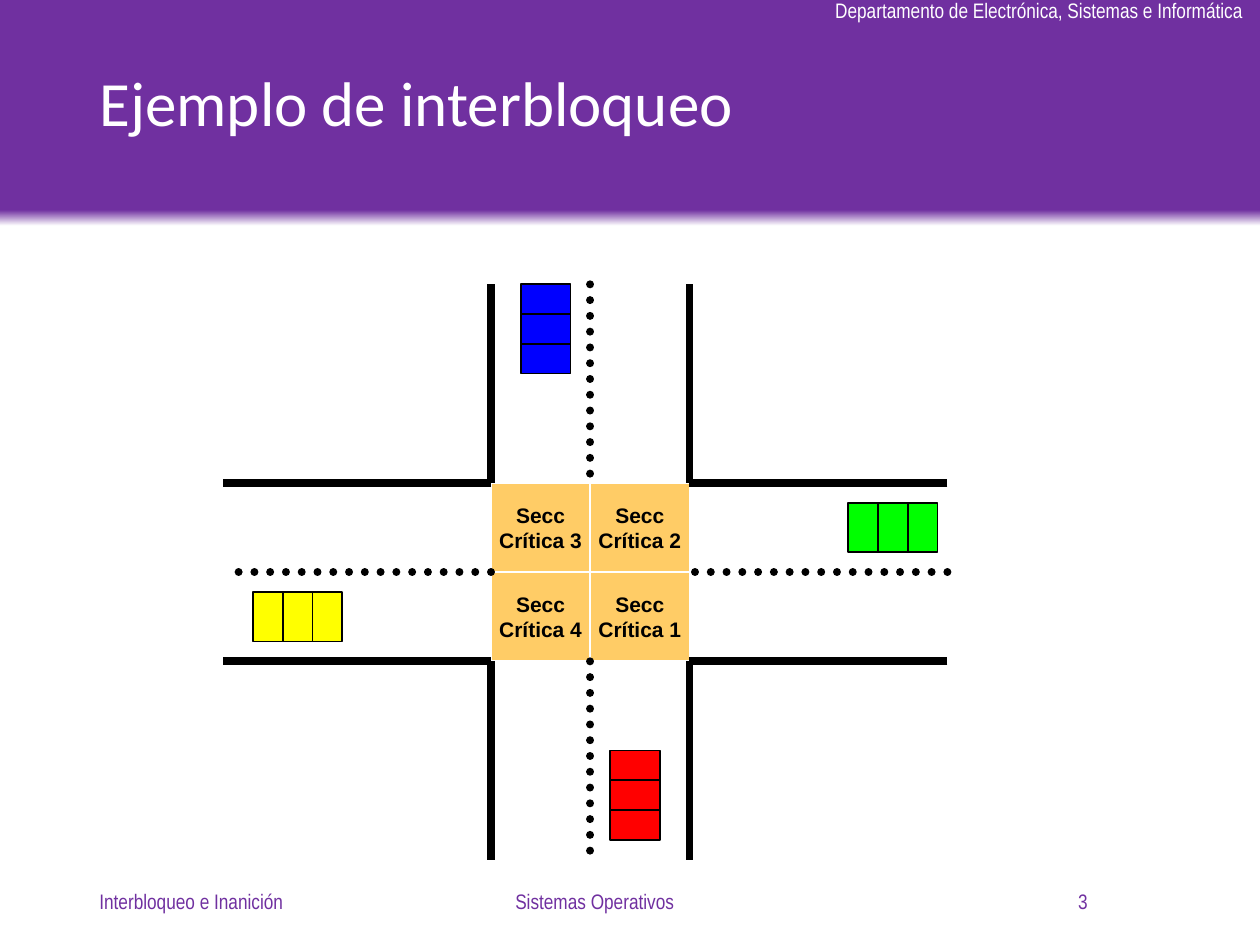
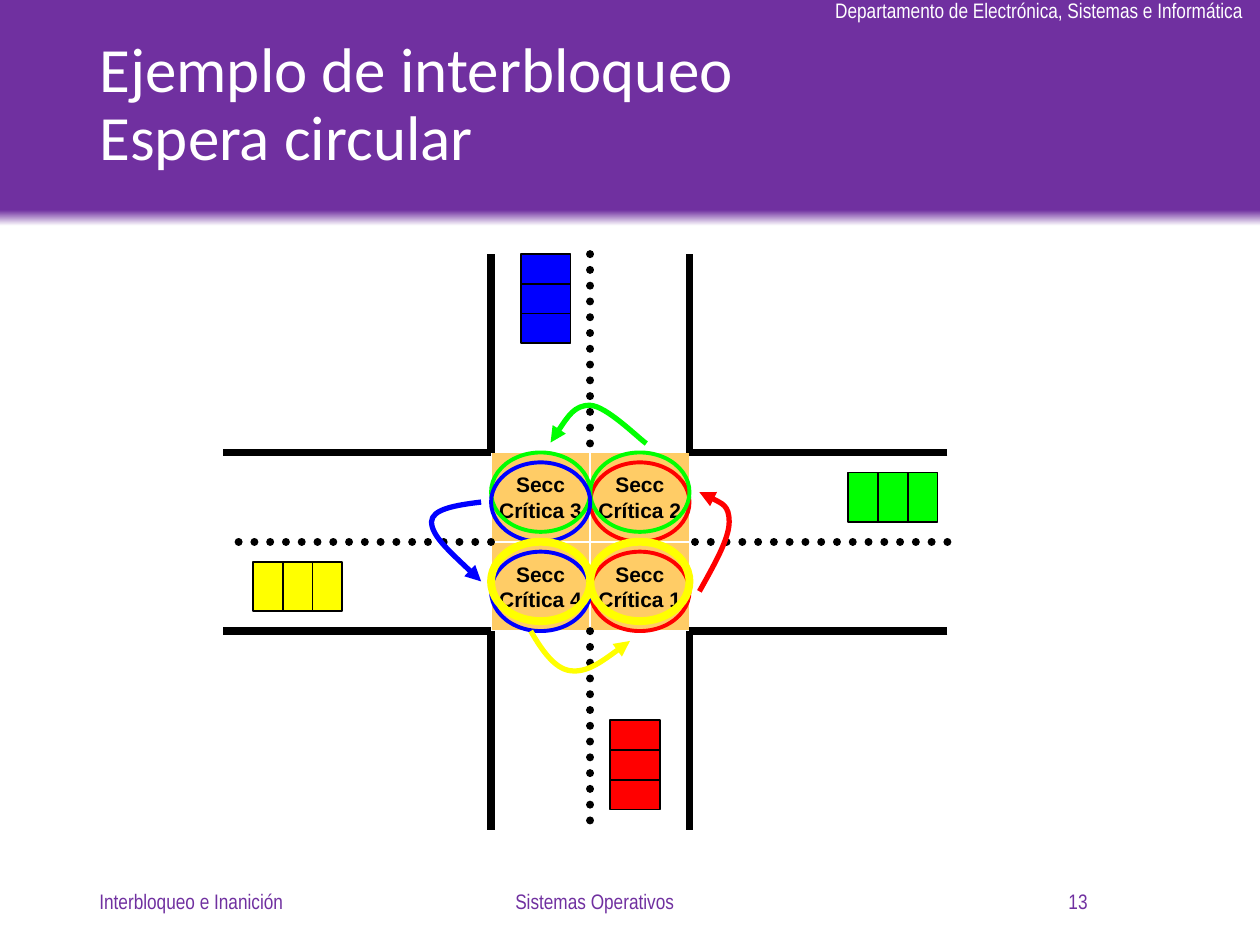
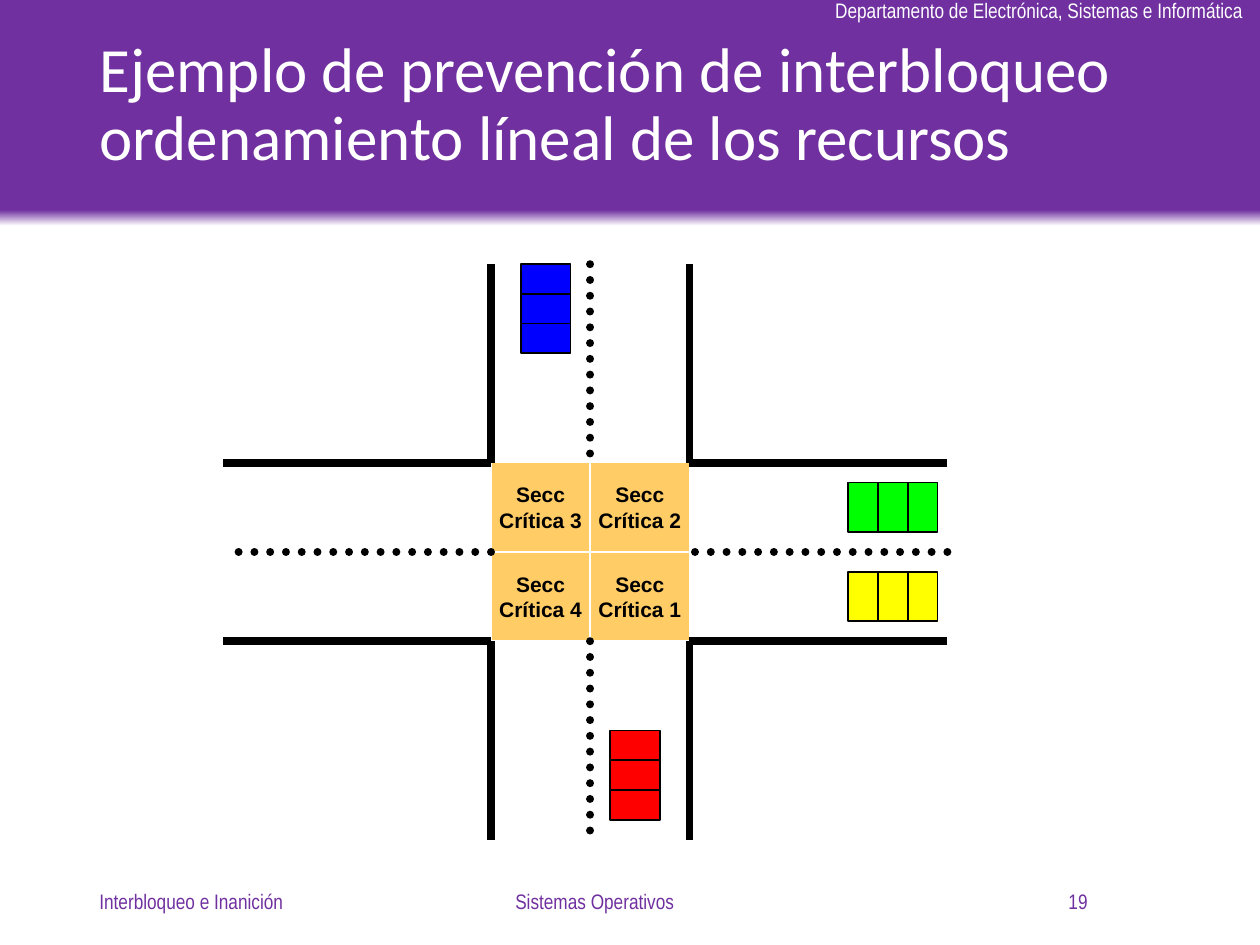
from lxml import etree
from pptx import Presentation
from pptx.dml.color import RGBColor
from pptx.enum.dml import MSO_LINE
from pptx.enum.shapes import MSO_CONNECTOR, MSO_SHAPE
from pptx.enum.text import MSO_ANCHOR, MSO_AUTO_SIZE, PP_ALIGN
from pptx.oxml.ns import qn
from pptx.util import Cm, Inches, Pt

RECTANGLE, OVAL = MSO_SHAPE.RECTANGLE, MSO_SHAPE.OVAL
STRAIGHT = MSO_CONNECTOR.STRAIGHT
ROUND_DOT = MSO_LINE.ROUND_DOT
MIDDLE, TOP = MSO_ANCHOR.MIDDLE, MSO_ANCHOR.TOP
LEFT, CENTER, RIGHT = PP_ALIGN.LEFT, PP_ALIGN.CENTER, PP_ALIGN.RIGHT
GROW = MSO_AUTO_SIZE.SHAPE_TO_FIT_TEXT

PURPLE = RGBColor(0x70, 0x30, 0xA0)
WHITE = RGBColor(0xFF, 0xFF, 0xFF)
BLACK = RGBColor(0x00, 0x00, 0x00)
ORANGE = RGBColor(0xFF, 0xCC, 0x66)
RED = RGBColor(0xFF, 0x00, 0x00)
GREEN = RGBColor(0x00, 0xFF, 0x00)
BLUE = RGBColor(0x00, 0x00, 0xFF)
YELLOW = RGBColor(0xFF, 0xFF, 0x00)

# Crossing grid: 2 mm steps, counted from the centre of the crossing
STEP = Cm(0.2)
CENTER_X = Inches(4.685)
CELL_WIDTH, CELL_HEIGHT = 10, 9
ROAD_END, WEST_END, EAST_END = 29, -37, 36
CAR_WIDTH, CAR_LENGTH = 5, 9


class Deck:
    """Style of the deck, and the slide being drawn."""

    def __init__(self):
        self.presentation = Presentation()
        self.presentation.slide_width = Inches(10)
        self.presentation.slide_height = Inches(7.5)
        self.slide = None
        self.center_y = 0

    # Lengths
    def share(self, left, top, width, height):
        across, down = self.presentation.slide_width, self.presentation.slide_height
        return [round(value) for value in
                (left * across, top * down, width * across, height * down)]

    def point(self, column, row):
        return round(CENTER_X + column * STEP), round(self.center_y + row * STEP)

    def box(self, column, row, columns, rows):
        return (*self.point(column, row), round(columns * STEP), round(rows * STEP))

    # Text
    def style(self, paragraph, font, size, color, align=LEFT, bold=False):
        paragraph.alignment = align
        paragraph.font.name = font
        paragraph.font.size = Pt(size)
        paragraph.font.color.rgb = color
        paragraph.font.bold = bold

    def label(self, text, area, color, align=LEFT, anchor=MIDDLE):
        shape = self.slide.shapes.add_textbox(*self.share(*area))
        frame = shape.text_frame
        frame.word_wrap = True
        frame.vertical_anchor = anchor
        frame.text = text
        self.style(frame.paragraphs[0], "Arial Narrow", 12, color, align)
        return shape

    # Slide frame
    def new_slide(self, title, number, center_y):
        first = self.slide is None
        self.slide = self.presentation.slides.add_slide(self.presentation.slide_layouts[5])
        self.center_y = Inches(center_y)
        if first:
            self.master_header()
        holder = self.slide.shapes.title
        holder.left, holder.top, holder.width, holder.height = self.share(
            0.069, 0.02, 0.862, 0.185)
        frame = holder.text_frame
        frame.text = ""
        frame.word_wrap = True
        frame.auto_size = MSO_AUTO_SIZE.NONE
        frame.vertical_anchor = MIDDLE
        paragraph = frame.paragraphs[0]
        paragraph.text = title
        paragraph.line_spacing = 0.9
        self.style(paragraph, "Calibri", 36, WHITE)
        for text, left, width, align in (
                ("Interbloqueo e Inanición", 0.069, 0.225, LEFT),
                ("Sistemas Operativos", 0.303, 0.338, CENTER),
                (str(number), 0.648, 0.225, RIGHT)):
            self.label(text, (left, 0.927, width, 0.053), PURPLE, align)

    def master_header(self):
        """Draw the band and department name, then move them to the master."""
        band = self.slide.shapes.add_shape(RECTANGLE, *self.share(0, 0, 1, 0.239))
        band.shadow.inherit = False
        band.line.fill.background()
        band.fill.gradient()
        band.fill.gradient_angle = 90
        stops = band.fill.gradient_stops
        for stop, color, position in zip(stops, (WHITE, PURPLE), (0, 0.07)):
            stop.color.rgb = color
            stop.position = position
        department = self.label("Departamento de Electrónica, Sistemas e Informática",
                                (0.653, -0.009, 0.348, 0.04), WHITE, anchor=TOP)
        department.text_frame.word_wrap = False
        department.text_frame.auto_size = GROW
        tree = self.presentation.slide_master.shapes.element
        tree.insert(2, band.element)
        tree.insert(3, department.element)

    # Shapes on the crossing grid
    def shape(self, shapes, kind, area, fill, line, width):
        shape = shapes.add_shape(kind, *self.box(*area))
        shape.shadow.inherit = False
        if fill is None:
            shape.fill.background()
        else:
            shape.fill.solid()
            shape.fill.fore_color.rgb = fill
        shape.line.color.rgb = line
        shape.line.width = Pt(width)
        return shape

    def section(self, shapes, number, column, row):
        shape = self.shape(shapes, RECTANGLE, (column, row, CELL_WIDTH, CELL_HEIGHT),
                           ORANGE, WHITE, 1)
        frame = shape.text_frame
        frame.word_wrap = False
        frame.vertical_anchor = MIDDLE
        frame.text = f"Secc\nCrítica {number}"
        for paragraph in frame.paragraphs:
            self.style(paragraph, "Arial", 12, BLACK, CENTER, True)

    def road_line(self, start, end, dotted=False):
        line = self.slide.shapes.add_connector(
            STRAIGHT, *self.point(*start), *self.point(*end))
        line.line.color.rgb = BLACK
        line.line.width = Pt(4.5)
        properties = line.element.spPr
        if dotted:
            line.line.dash_style = ROUND_DOT
            properties.find(qn("a:ln")).set("cap", "rnd")
        etree.SubElement(properties, qn("a:effectLst"))

    def car(self, color, column, row, sideways=False):
        third = CAR_LENGTH / 3
        group = self.slide.shapes.add_group_shape()
        for top, length in ((row, CAR_LENGTH), (row + third, third)):
            part = self.shape(group.shapes, RECTANGLE, (column, top, CAR_WIDTH, length),
                              color, BLACK, 1)
            part.rotation = 270 if sideways else 0

    def ring(self, color, column, row, width):
        self.shape(self.slide.shapes, OVAL, (column, row, CELL_WIDTH, 8), None, color, width)

    def curved_arrow(self, color, points):
        """Start point, then three points for each Bezier segment."""
        places = [self.point(*point) for point in points]
        builder = self.slide.shapes.build_freeform(*places[0])
        builder.add_line_segments(places[1:], close=False)
        arrow = builder.convert_to_shape()
        arrow.shadow.inherit = False
        arrow.fill.background()
        arrow.line.color.rgb = color
        arrow.line.width = Pt(3)
        outline = arrow.element.spPr.find(qn("a:ln"))
        etree.SubElement(outline, qn("a:tailEnd"), type="triangle")
        segments = list(arrow.element.iter(qn("a:lnTo")))
        route = segments[0].getparent()
        for index, segment in enumerate(segments):
            if index % 3 == 0:
                curve = etree.SubElement(route, qn("a:cubicBezTo"))
            curve.append(segment[0])
            route.remove(segment)

    # The whole crossing
    def crossing(self, yellow_car):
        group = self.slide.shapes.add_group_shape()
        for number, column, row in ((1, 0, 0), (3, -CELL_WIDTH, -CELL_HEIGHT),
                                    (2, 0, -CELL_HEIGHT), (4, -CELL_WIDTH, 0)):
            self.section(group.shapes, number, column, row)
        spans = ((-ROAD_END, -CELL_HEIGHT), (CELL_HEIGHT, ROAD_END))
        sides = ((-CELL_WIDTH, WEST_END), (EAST_END, CELL_WIDTH))
        for columns, rows, dotted in (
                ((-CELL_WIDTH, CELL_WIDTH), (-CELL_HEIGHT, CELL_HEIGHT), False),
                ((0,), (0,), True)):
            for top, bottom in spans:
                for column in columns:
                    self.road_line((column, top), (column, bottom), dotted)
            for start, end in sides:
                for row in rows:
                    self.road_line((start, row), (end, row), dotted)
        self.car(RED, 2, 18)
        self.car(BLUE, -7, -ROAD_END)
        self.car(GREEN, 28, -CELL_HEIGHT, sideways=True)
        self.car(YELLOW, *yellow_car, sideways=True)


deck = Deck()

# Slide: the crossing
deck.new_slide("Ejemplo de interbloqueo", 3, 4.54)
deck.crossing(yellow_car=(-32, 0))

# Slide: circular wait
deck.new_slide("Ejemplo de interbloqueo\vEspera circular", 13, 4.3)
deck.crossing(yellow_car=(-32, 0))
for color, width, places in (
        (RED, 2.25, ((0, 1), (0, -8))),
        (GREEN, 2.25, ((0, -9), (-10, -9))),
        (BLUE, 2.25, ((-10, -8), (-10, 1))),
        (YELLOW, 4.5, ((-10, 0), (0, 0)))):
    for column, row in places:
        deck.ring(color, column, row, width)
for color, points in (
        (RED, ((11, 5), (12.5, 2.3), (14, -0.3), (14, -2),
               (14, -3.7), (12.5, -4.3), (11, -5))),
        (GREEN, ((5.65, -9.9), (4.8, -10.5), (1.6, -13.7), (0, -13.75),
                 (-1.6, -13.8), (-2.85, -11.8), (-4, -10))),
        (BLUE, ((-11, -4), (-13.5, -3.7), (-16, -3.3), (-16, -2),
                (-16, -0.6), (-13.5, 1.6), (-11, 4))),
        (YELLOW, ((-6, 9), (-4.9, 10.9), (-3.6, 12.8), (-2, 13),
                  (-0.3, 13.2), (1.85, 11.6), (4, 10)))):
    deck.curved_arrow(color, points)

# Slide: prevention by ordering the resources
deck.new_slide("Ejemplo de prevención de interbloqueo\vordenamiento líneal de los recursos",
               19, 4.38)
deck.crossing(yellow_car=(28, 0))

deck.presentation.save("out.pptx")
